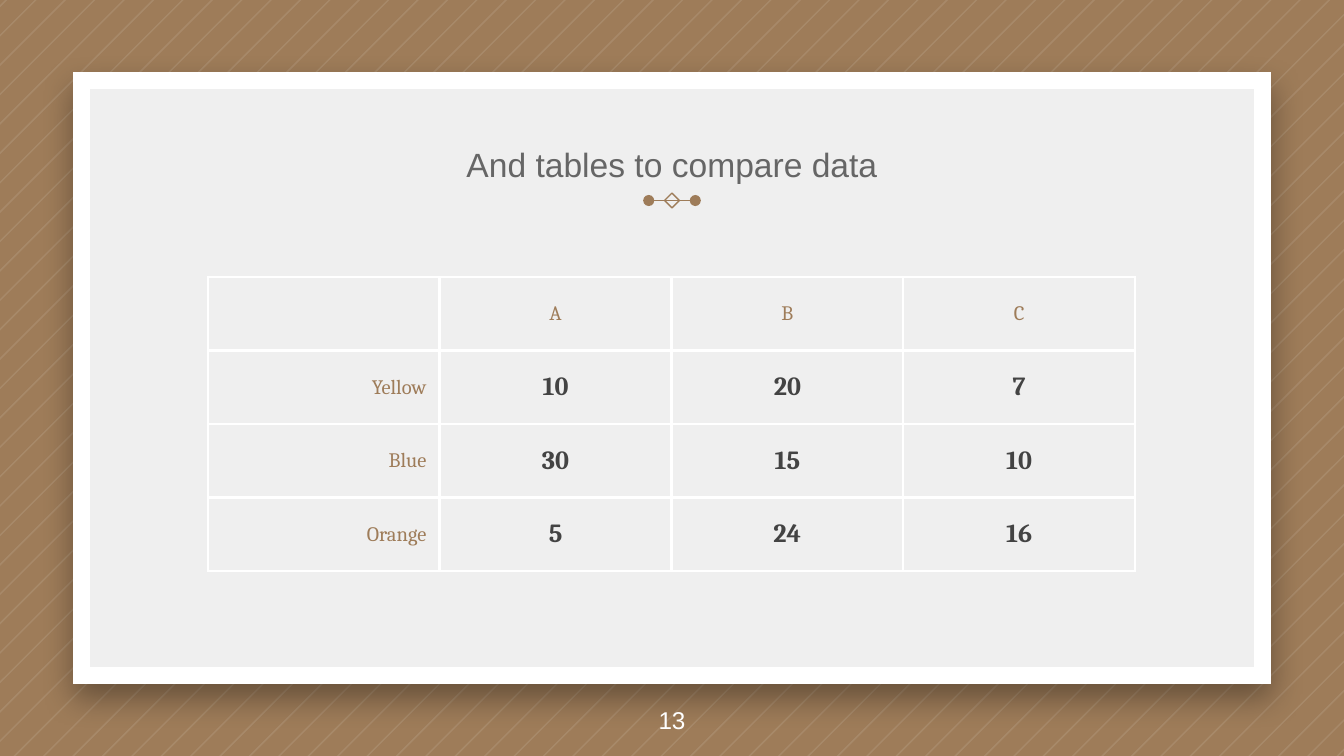
from lxml import etree
from pptx import Presentation
from pptx import util as u
from pptx.dml.color import RGBColor
from pptx.enum import shapes, text
from pptx.oxml import parse_xml
from pptx.oxml.ns import nsdecls, qn

WIDTH, HEIGHT = 25.4, 14.29
COLOURS = {
    "brown": "9E7C59",
    "panel": "EFEFEF",
    "white": "FFFFFF",
    "title": "666666",
    "value": "434343",
    "shadow": "000000",
}
ALIGN = text.PP_ALIGN
ANCHOR = text.MSO_ANCHOR


class SlideBuilder:
    def __init__(self, slide):
        self.slide = slide
        self.shapes = slide.shapes

    def colour(self, name):
        return RGBColor.from_string(COLOURS[name])

    def fill(self, target, name):
        target.fill.solid()
        target.fill.fore_color.rgb = self.colour(name)

    def line(self, sp, name, width):
        sp.line.color.rgb = self.colour(name)
        sp.line.width = u.Pt(width)

    def background(self, name):
        self.fill(self.slide.background, name)

    def stripes(self, first, last, count, thickness, name, opacity):
        def upper(total):
            return u.Cm(min(total, WIDTH)), u.Cm(max(0, total - WIDTH))

        def lower(total):
            return u.Cm(max(0, total - HEIGHT)), u.Cm(min(total, HEIGHT))

        pitch = (last - first) / (count - 1)
        builder = self.shapes.build_freeform(*upper(first))
        for i in range(count):
            near = first + i * pitch
            far = near + thickness
            if i:
                builder.move_to(*upper(near))
            builder.add_line_segments([lower(near), lower(far), upper(far)], close=True)
        sp = builder.convert_to_shape()
        sp.shadow.inherit = False
        sp.line.fill.background()
        self.fill(sp, name)
        colour = sp._element.spPr.find(qn("a:solidFill"))[0]
        etree.SubElement(colour, qn("a:alpha"), val=str(opacity * 1000))

    def shape(self, kind, left, top, width, height, line, weight, fill=None):
        sp = self.shapes.add_shape(kind, u.Cm(left), u.Cm(top), u.Cm(width), u.Cm(height))
        sp.shadow.inherit = False
        self.line(sp, line, weight)
        if fill:
            self.fill(sp, fill)
        else:
            sp.fill.background()
        return sp

    def panel(self, left, top, width, height):
        sp = self.shape(shapes.MSO_SHAPE.RECTANGLE, left, top, width, height, "white", 9, "panel")
        etree.SubElement(sp.line._get_or_add_ln(), qn("a:miter"), lim="800000")
        effects = sp._element.spPr.find(qn("a:effectLst"))
        effects.append(parse_xml(
            f'<a:outerShdw {nsdecls("a")} blurRad="{u.Pt(16.9)}" dist="{u.Pt(7.5)}" '
            f'dir="5400000" algn="bl" rotWithShape="0"><a:srgbClr val="{COLOURS["shadow"]}">'
            '<a:alpha val="35000"/></a:srgbClr></a:outerShdw>'))

    def dotted_line(self, left, right, y):
        cn = self.shapes.add_connector(
            shapes.MSO_CONNECTOR.STRAIGHT, u.Cm(left), u.Cm(y), u.Cm(right), u.Cm(y))
        self.line(cn, "brown", 0.75)
        for end in ("a:headEnd", "a:tailEnd"):
            etree.SubElement(cn.line._get_or_add_ln(), qn(end), type="oval")
        etree.SubElement(cn._element.spPr, qn("a:effectLst"))

    def format(self, tf, font, size, colour, align, bold=False):
        for p in tf.paragraphs:
            p.alignment = align
            for r in p.runs:
                r.font.name = font
                r.font.size = u.Pt(size)
                r.font.bold = bold
                r.font.color.rgb = self.colour(colour)

    def text(self, content, left, top, width, height, size, colour, anchor):
        tf = self.shapes.add_textbox(u.Cm(left), u.Cm(top), u.Cm(width), u.Cm(height)).text_frame
        tf.word_wrap = True
        tf.vertical_anchor = anchor
        tf.margin_left = tf.margin_right = tf.margin_top = tf.margin_bottom = u.Cm(0.25)
        tf.text = content
        self.format(tf, "Arial", size, colour, ALIGN.CENTER)

    def borders(self, cell):
        tc_pr = cell._tc.get_or_add_tcPr()
        for side in "LRTB":
            ln = etree.SubElement(tc_pr, qn(f"a:ln{side}"), w=str(u.Pt(1.5)))
            solid = etree.SubElement(ln, qn("a:solidFill"))
            etree.SubElement(solid, qn("a:srgbClr"), val=COLOURS["white"])

    def table(self, rows, left, top, col_width, row_height):
        n_rows, n_cols = len(rows), len(rows[0])
        table = self.shapes.add_table(
            n_rows, n_cols, u.Cm(left), u.Cm(top),
            u.Cm(col_width * n_cols), u.Cm(row_height * n_rows)).table
        table.first_row = table.horz_banding = False
        for col in table.columns:
            col.width = u.Cm(col_width)
        for i, values in enumerate(rows):
            table.rows[i].height = u.Cm(row_height)
            for j, value in enumerate(values):
                cell = table.cell(i, j)
                cell.text_frame.text = value
                cell.vertical_anchor = ANCHOR.MIDDLE
                cell.margin_left = cell.margin_right = u.Cm(0.25)
                cell.margin_top = cell.margin_bottom = u.Cm(0.18)
                self.borders(cell)
                cell.fill.background()
                align = ALIGN.CENTER if j else ALIGN.RIGHT
                if i and j:
                    self.format(cell.text_frame, "Cambria", 14, "value", align, True)
                else:
                    self.format(cell.text_frame, "Cambria", 11, "brown", align)


def main():
    prs = Presentation()
    prs.slide_width, prs.slide_height = u.Cm(WIDTH), u.Cm(HEIGHT)
    s = SlideBuilder(prs.slides.add_slide(prs.slide_layouts[6]))

    s.background("brown")
    s.stripes(0.1, 39.55, 72, 0.04, "white", 10)
    s.panel(1.54, 1.52, 22.32, 11.25)
    s.dotted_line(12.26, 13.14, 3.79)
    s.shape(shapes.MSO_SHAPE.DIAMOND, 12.56, 3.65, 0.28, 0.28, "brown", 0.75)
    s.text("And tables to compare data", 2.5, 2.06, 20.4, 1.68, 18, "title", ANCHOR.BOTTOM)
    s.table([
        ["", "A", "B", "C"],
        ["Yellow", "10", "20", "7"],
        ["Blue", "30", "15", "10"],
        ["Orange", "5", "24", "16"],
    ], 3.93, 5.24, 4.38, 1.39)
    s.text("13", 0, 12.92, WIDTH, 1.37, 13, "white", ANCHOR.MIDDLE)

    prs.save("out.pptx")


if __name__ == "__main__":
    main()
